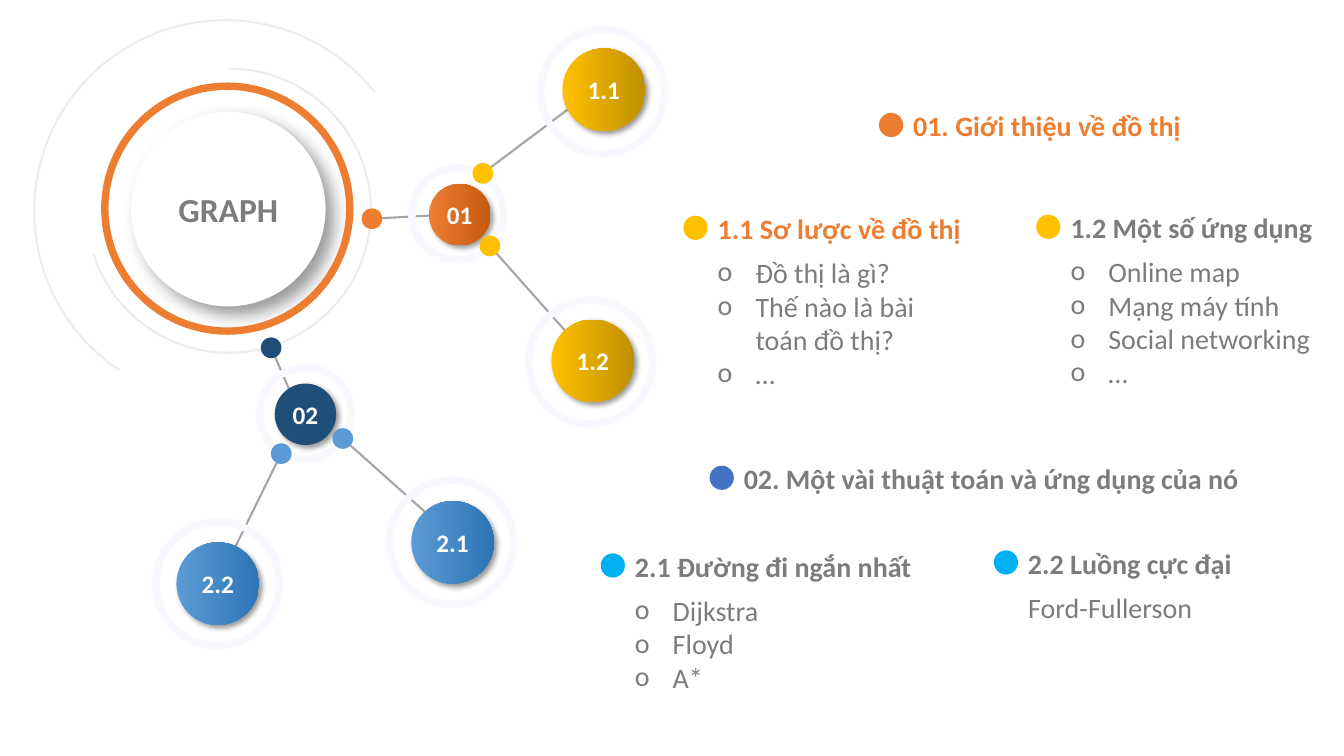
from lxml.etree import SubElement
from pptx import Presentation
from pptx.dml.color import RGBColor
from pptx.enum.shapes import MSO_CONNECTOR, MSO_SHAPE
from pptx.enum.text import MSO_ANCHOR, MSO_AUTO_SIZE, PP_ALIGN
from pptx.oxml.ns import qn
from pptx.util import Inches, Pt

# Grid of square cells: 133.33 columns by 75 rows
CELL = Inches(0.1)
FONT = "Calibri"
WHITE, GREY, LINE, HALO, ARC = "FFFFFF", "7C7C7C", "A5A5A5", "F8F8FF", "EDEDED"
ORANGE, AMBER, NAVY, BLUE, SKY, ROYAL = (
    "ED7D31", "FFC000", "1F4E79", "5B9BD5", "00B0F0", "4472C4")
DARK = {ORANGE: "C55A11", AMBER: "BF9000", BLUE: "2E75B6", NAVY: NAVY}

# label, centre, diameter, halo centre, halo diameter, colour
BUBBLES = [
    ("01", (45.6, 21.3), 6.1, (45.4, 21.2), 9.1, ORANGE),
    ("1.1", (59.9, 8.9), 8.2, (59.8, 9.1), 12.3, AMBER),
    ("1.2", (58.8, 35.8), 8.2, (58.6, 35.9), 12.3, AMBER),
    ("02", (30.3, 41.1), 6.1, (30.3, 41), 9.1, NAVY),
    ("2.1", (44.9, 53.8), 8.2, (44.8, 53.8), 12.3, BLUE),
    ("2.2", (21.6, 57.9), 8.2, (21.6, 57.9), 12.3, BLUE),
]
# bubble end, dot centre, dot colour
LINKS = [
    ((59.2, 8.7), (47.9, 17.2), AMBER),
    ((58.1, 35.1), (48.6, 24.4), AMBER),
    ((45.2, 53.5), (34, 43.5), BLUE),
    ((29.8, 41.2), (26.9, 34.5), NAVY),
    ((21.6, 57.8), (27.9, 45), BLUE),
    ((46.2, 21.2), (36.9, 21.7), ORANGE),
]
# heading, left, top, width, heading colour, dot colour, list, list width
SECTIONS = [
    ("1.1 Sơ lược về đồ thị", 70.2, 20.5, 26.3, ORANGE, AMBER,
     ["Đồ thị là gì?", "Thế nào là bài toán đồ thị?", "…"], 23.2),
    ("1.2 Một số ứng dụng", 105.2, 20.4, 26.2, GREY, AMBER,
     ["Online map", "Mạng máy tính", "Social networking", "…"], 26.2),
    ("2.1 Đường đi ngắn nhất", 62, 54, 29.7, GREY, SKY,
     ["Dijkstra", "Floyd", "A*"], 30.8),
    ("2.2 Luồng cực đại", 101, 53.7, 22.4, GREY, SKY, ["Ford-Fullerson"], 27.1),
]
CHAPTERS = [
    ("01. Giới thiệu về đồ thị", 89.6, 10.3, 28.8, ORANGE, ORANGE),
    ("02. Một vài thuật toán và ứng dụng của nó", 72.8, 45.3, 51.5, GREY, ROYAL),
]


def grid(*cells):
    return [round(n * CELL) for n in cells]


def rgb(color):
    return RGBColor.from_string(color)


def set_bullet(p, char):
    """Give a paragraph a hanging bullet, or none when char is empty."""
    pPr = p._p.get_or_add_pPr()
    indent = Inches(0.375) if char else 0
    pPr.set("marL", str(indent))
    pPr.set("indent", str(-indent))
    if char:
        SubElement(pPr, qn("a:buFont")).set("typeface", FONT)
        SubElement(pPr, qn("a:buChar")).set("char", char)
    else:
        SubElement(pPr, qn("a:buNone"))


def write(sp, lines, size=20, color=GREY, bold=False, align=PP_ALIGN.LEFT,
          anchor=MSO_ANCHOR.TOP, wrap=True, bullet=""):
    tf = sp.text_frame
    tf.auto_size = MSO_AUTO_SIZE.NONE
    tf.word_wrap, tf.vertical_anchor = wrap, anchor
    for i, line in enumerate(lines):
        p = tf.add_paragraph() if i else tf.paragraphs[0]
        p.alignment = align
        p.space_before = p.space_after = Pt(0)
        set_bullet(p, bullet)
        r = p.add_run()
        r.text = line
        r.font.name, r.font.size, r.font.bold = FONT, Pt(size), bold
        r.font.color.rgb = rgb(color)


def write_centred(sp, text, size, color):
    write(sp, [text], size, color, bold=True, align=PP_ALIGN.CENTER,
          anchor=MSO_ANCHOR.MIDDLE, wrap=False)


def place(sp, *box):
    sp.left, sp.top, sp.width, sp.height = grid(*box)


def add_round(s, centre, size, kind=MSO_SHAPE.OVAL, fill=None, line=None, width=5.25):
    x, y = centre
    sp = s.shapes.add_shape(kind, *grid(x - size / 2, y - size / 2, size, size))
    sp.shadow.inherit = False
    if fill:
        sp.fill.solid()
        sp.fill.fore_color.rgb = rgb(fill)
    else:
        sp.fill.background()
    if line:
        sp.line.color.rgb = rgb(line)
        sp.line.width = Pt(width)
    else:
        sp.line.fill.background()
    return sp


def add_arc(s, centre, size, start, end):
    """Draw a clockwise arc between two angles in degrees."""
    sp = add_round(s, centre, size, MSO_SHAPE.ARC, line=ARC, width=1.5)
    for i, angle in enumerate((start, end)):
        sp.adjustments[i] = angle * 0.6  # 60000 units a degree, scaled by 100000


def cast_shadow(sp, blur, distance):
    effects = sp._element.spPr.find(qn("a:effectLst"))
    shadow = SubElement(effects, qn("a:outerShdw"), blurRad=str(Pt(blur)),
                        dist=str(Pt(distance)), dir="2700000", algn="tl",
                        rotWithShape="0")
    tint = SubElement(shadow, qn("a:srgbClr"), val="000000")
    SubElement(tint, qn("a:alpha"), val="40000")


def add_link(s, start, end):
    c = s.shapes.add_connector(MSO_CONNECTOR.STRAIGHT, *grid(*start, *end))
    c.line.color.rgb = rgb(LINE)
    c.line.width = Pt(1.5)
    SubElement(c._element.spPr, qn("a:effectLst"))


def add_bubble(s, label, centre, size, halo_centre, halo_size, color):
    add_round(s, halo_centre, halo_size, line=HALO)
    sp = add_round(s, centre, size, fill=color)
    if DARK[color] != color:
        sp.fill.gradient()
        sp.fill.gradient_angle = 0
        for stop, tone in zip(sp.fill.gradient_stops, (color, DARK[color])):
            stop.color.rgb = rgb(tone)
    cast_shadow(sp, 4, 3)
    write_centred(sp, label, 18, WHITE)


def add_hub(s, title):
    add_arc(s, (22.7, 20.9), 28.2, 270, 162.4)
    add_arc(s, (22.35, 20.95), 37.9, 123.7, 321.3)
    cast_shadow(add_round(s, (22.65, 20.75), 19.3, fill=WHITE), 12, 8)
    add_round(s, (22.55, 20.7), 24.3, line=ORANGE)
    place(title, 13, 11.1, 19.3, 19.3)
    write_centred(title, "GRAPH", 24, GREY)
    s.shapes.element.append(title.element)  # in front of the white disc


def add_heading(s, sp, text, left, top, width, color, dot):
    place(sp, left, top, width, 4.4)
    write(sp, [text], color=color, bold=True, wrap=False)
    add_round(s, (left - 1.2, top + 2.1), 2.4, fill=dot)


def main():
    prs = Presentation()
    prs.slide_width, prs.slide_height = Inches(13.333), Inches(7.5)
    s = prs.slides.add_slide(prs.slide_layouts.get_by_name("Comparison"))
    title, *bodies = s.placeholders

    def new_box():
        return s.shapes.add_textbox(0, 0, CELL, CELL)

    for start, end, _ in LINKS:
        add_link(s, start, end)
    for bubble in BUBBLES:
        add_bubble(s, *bubble)
    add_hub(s, title)
    for _, centre, color in LINKS:
        add_round(s, centre, 2.05, fill=color)

    for chapter in CHAPTERS:
        add_heading(s, new_box(), *chapter)
    for text, left, top, width, color, dot, items, list_width in SECTIONS:
        heading = bodies.pop(0) if bodies else new_box()
        body = bodies.pop(0) if bodies else new_box()
        add_heading(s, heading, text, left, top, width, color, dot)
        place(body, left, top + 4.35, list_width, 3.37 * max(len(items), 2) + 1)
        write(body, items, bullet="o" if len(items) > 1 else "")
    prs.save("out.pptx")


if __name__ == "__main__":
    main()
